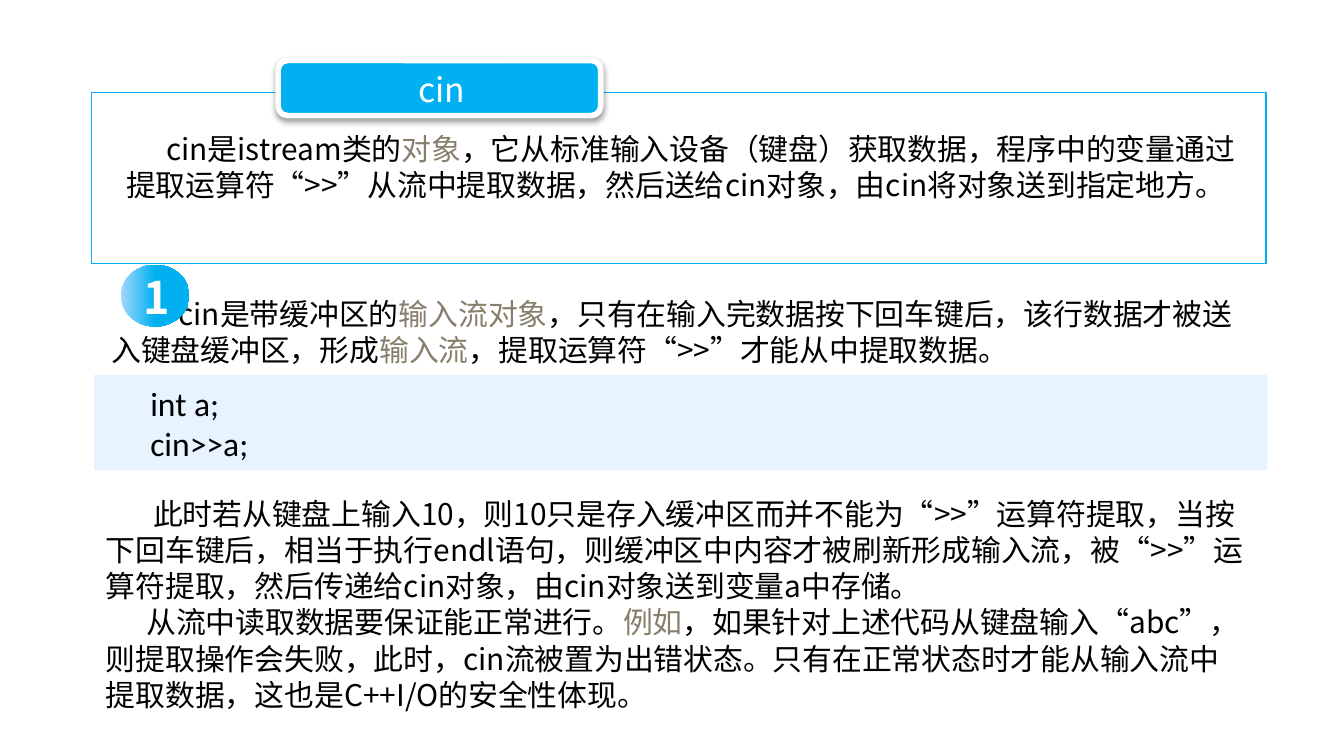
import pptx
import pptx.util
from pptx.dml.color import RGBColor
from pptx.enum.shapes import MSO_SHAPE
from pptx.enum.text import MSO_ANCHOR, MSO_AUTO_SIZE, PP_ALIGN
from pptx.oxml import parse_xml
from pptx.oxml.ns import nsdecls, qn

Inches, Pt = pptx.util.Inches, pptx.util.Pt

BLUE = RGBColor(0x00, 0xB0, 0xF0)
LIGHT_BLUE = RGBColor(0x9F, 0xD8, 0xFF)
PALE_BLUE = RGBColor(0xE7, 0xF4, 0xFF)
TAUPE = RGBColor(0x87, 0x7F, 0x6C)
BLACK = RGBColor(0, 0, 0)
WHITE = RGBColor(0xFF, 0xFF, 0xFF)
CJK = "Noto Sans CJK SC"
BODY = {"name": CJK, "size": Pt(16)}
CODE = {"name": "Calibri", "size": Pt(18)}

# Each paragraph is (first-line indent, pieces); every second piece is a key term.
DEFINITION = [(0.3, ["cin是istream类的", "对象",
    "，它从标准输入设备（键盘）获取数据，程序中的变量通过提取运算符“>>”从流中提取数据，"
    "然后送给cin对象，由cin将对象送到指定地方。"])]
BUFFERING = [(0.5, ["cin是带缓冲区的", "输入流对象",
    "，只有在输入完数据按下回车键后，该行数据才被送入键盘缓冲区，形成", "输入流",
    "，提取运算符“>>”才能从中提取数据。"])]
SAMPLE = [(0, ["int a;"]), (0, ["cin>>a;"])]
EXPLANATION = [
    (0.35, ["此时若从键盘上输入10，则10只是存入缓冲区而并不能为“>>”运算符提取，"
            "当按下回车键后，相当于执行endl语句，则缓冲区中内容才被刷新形成输入流，"
            "被“>>”运算符提取，然后传递给cin对象，由cin对象送到变量a中存储。"]),
    (0.3, ["从流中读取数据要保证能正常进行。", "例如",
           "，如果针对上述代码从键盘输入“abc”，则提取操作会失败，此时，cin流被置为出错状态。"
           "只有在正常状态时才能从输入流中提取数据，这也是C++I/O的安全性体现。"]),
]


def style(target, values):
    for name, value in values.items():
        setattr(target, name, value)


def add_run(p, text, color, font):
    r = p.add_run()
    r.text = text
    style(r.font, font)
    r.font.color.rgb = color
    if font["name"] == CJK:
        latin = r.font._element.find(qn("a:latin"))
        latin.addnext(parse_xml(f'<a:ea {nsdecls("a")} typeface="{CJK}"/>'))


def add_box(slide, kind, box, fill=None):
    sp = slide.shapes.add_shape(kind, *map(Inches, box))
    sp.shadow.inherit = False
    sp.line.fill.background()
    if fill is not None:
        sp.fill.solid()
        sp.fill.fore_color.rgb = fill
    return sp


def add_text(slide, box, paragraphs, font, spacing=None):
    tf = slide.shapes.add_textbox(*map(Inches, box)).text_frame
    tf.word_wrap = True
    for i, (indent, pieces) in enumerate(paragraphs):
        p = tf.paragraphs[0] if i == 0 else tf.add_paragraph()
        if spacing:
            p.line_spacing = spacing
        if indent:
            p._p.get_or_add_pPr().set("indent", str(Inches(indent)))
        for j, piece in enumerate(pieces):
            add_run(p, piece, TAUPE if j % 2 else BLACK, font)


def add_heading(slide, left, top):
    """Rounded label with a soft shadow, carrying the slide title."""
    tab = add_box(slide, MSO_SHAPE.ROUNDED_RECTANGLE, (left, top, 2.4, 0.41), BLUE)
    tab.adjustments[0] = 0.17
    tab.line.width = Pt(3)
    tab.line.color.rgb = WHITE
    effects = tab.element.spPr.find(qn("a:effectLst"))
    effects.append(parse_xml(
        f'<a:outerShdw {nsdecls("a")} blurRad="{Pt(3.1)}" dist="{Pt(1.6)}" dir="5400000">'
        '<a:srgbClr val="000000"><a:alpha val="38000"/></a:srgbClr></a:outerShdw>'))

    title = slide.shapes.title
    style(title, {"left": Inches(left + 0.06), "top": Inches(top + 0.01),
                  "width": Inches(2.31), "height": Inches(0.4)})
    tf = title.text_frame
    style(tf, {"auto_size": MSO_AUTO_SIZE.NONE, "vertical_anchor": MSO_ANCHOR.MIDDLE,
               "margin_top": 0, "margin_bottom": 0})
    p = tf.paragraphs[0]
    p.alignment = PP_ALIGN.CENTER
    add_run(p, "cin", WHITE, {"name": CJK, "size": Pt(18)})
    tab.element.addnext(title.element)


def add_definition(slide, left, top):
    """Framed definition under its heading."""
    frame = add_box(slide, MSO_SHAPE.RECTANGLE, (left, top, 8.74, 1.27), WHITE)
    frame.line.color.rgb = BLUE
    frame.line.width = Pt(0.75)
    color = frame.element.spPr.find(qn("a:solidFill"))[0]
    color.append(parse_xml(f'<a:alpha {nsdecls("a")} val="90000"/>'))
    add_heading(slide, left + 1.39, top - 0.24)
    add_text(slide, (left + 0.16, top + 0.23, 8.46, 0.91), DEFINITION, BODY, Pt(19.3))


def add_code(slide, left, top):
    """Code sample on a pale band."""
    add_box(slide, MSO_SHAPE.RECTANGLE, (left, top, 8.73, 0.71), PALE_BLUE)
    add_text(slide, (left + 0.32, top + 0.01, 5, 0.71), SAMPLE, CODE)


def add_badge(slide, left, top, number):
    """Numbered gradient badge."""
    badge = add_box(slide, MSO_SHAPE.OVAL, (left, top, 0.51, 0.46))
    badge.fill.gradient()
    badge.fill.gradient_angle = 0
    for stop, position, color in zip(badge.fill.gradient_stops, (0, 0.5), (LIGHT_BLUE, BLUE)):
        stop.position = position
        stop.color.rgb = color
    tf = badge.text_frame
    style(tf, {"margin_left": Inches(0.02), "margin_right": 0, "margin_top": Inches(0.02),
               "margin_bottom": 0, "word_wrap": False, "vertical_anchor": MSO_ANCHOR.MIDDLE})
    p = tf.paragraphs[0]
    p.alignment = PP_ALIGN.CENTER
    add_run(p, number, WHITE, {"name": CJK, "size": Pt(24), "bold": True})


# Widescreen page, 16:9
prs = pptx.Presentation()
prs.slide_width = Inches(10)
prs.slide_height = prs.slide_width * 9 // 16
slide = prs.slides.add_slide(prs.slide_layouts[5])

add_definition(slide, 0.68, 0.69)
add_text(slide, (0.73, 2.15, 8.7, 0.64), BUFFERING, BODY, Pt(19.3))
add_code(slide, 0.7, 2.79)
add_text(slide, (0.69, 3.64, 8.69, 1.72), EXPLANATION, BODY, Pt(19.3))
add_badge(slide, 0.9, 1.97, "1")

prs.save("out.pptx")
